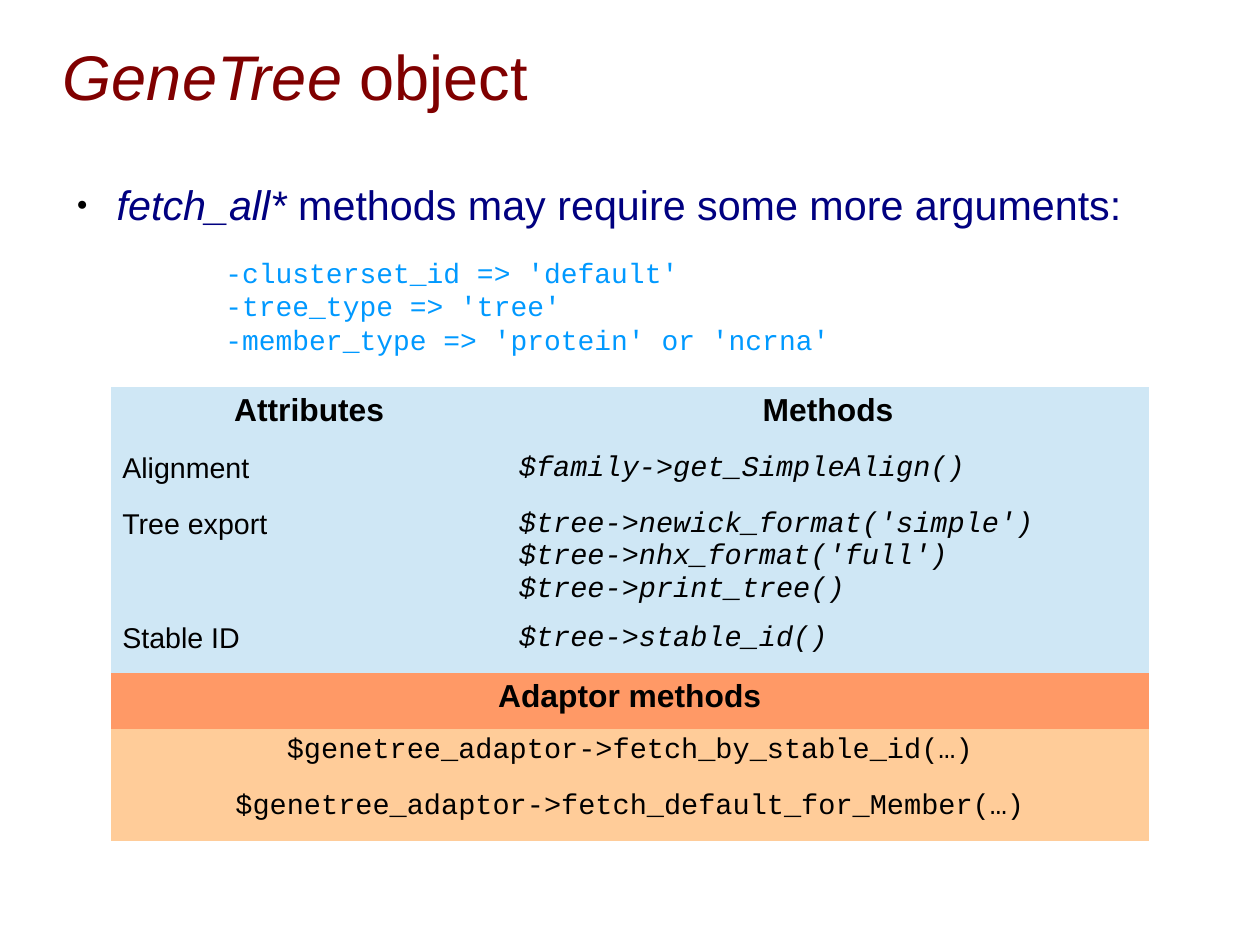
import pptx
import pptx.util
import pptx.dml.color
import pptx.enum.text
import pptx.oxml.ns
from lxml import etree

# Content: a text piece is (words, format name)
TITLE = [("GeneTree", "title_name"), (" object", "title")]
LEAD = [("fetch_all*", "lead_name"), (" methods may require some more arguments:", "lead")]
ARGUMENTS = [
    "-clusterset_id => 'default'",
    "-tree_type => 'tree'",
    "-member_type => 'protein' or 'ncrna'",
]
ATTRIBUTES = [
    ("Alignment", ["$family->get_SimpleAlign()"]),
    ("Tree export", ["$tree->newick_format('simple')", "$tree->nhx_format('full')",
                     "$tree->print_tree()"]),
    ("Stable ID", ["$tree->stable_id()"]),
]
ADAPTOR_METHODS = [
    "$genetree_adaptor->fetch_by_stable_id(…)",
    "$genetree_adaptor->fetch_default_for_Member(…)",
]

# Theme: type formats and fills
SANS, MONO = "Arial", "Courier New"
THEME = {
    "title": dict(name=SANS, size=39.7, color="800000"),
    "title_name": dict(name=SANS, size=39.7, color="800000", italic=True),
    "lead": dict(name=SANS, size=26, color="000080"),
    "lead_name": dict(name=SANS, size=26, color="000080", italic=True),
    "argument": dict(name=MONO, size=17.6, color="0099FF"),
    "heading": dict(name=SANS, size=20, color="000000", bold=True),
    "label": dict(name=SANS, size=18, color="000000"),
    "method": dict(name=MONO, size=18, color="000000", italic=True),
    "adaptor": dict(name=MONO, size=18, color="000000"),
    "object_fill": "CFE7F5",
    "adaptor_head_fill": "FF9966",
    "adaptor_fill": "FFCC99",
    "bullet": "000000",
}
NO_STYLE_NO_GRID = "{2D5ABB26-0587-4C30-8999-92F81FD0307C}"

# Page grid: a 28 by 21 cm page, parts in inches
PAGE_WIDTH, PAGE_HEIGHT = pptx.util.Cm(28), pptx.util.Cm(21)
WIDTH, HEIGHT = PAGE_WIDTH.inches, PAGE_HEIGHT.inches
LEFT = 0.05 * WIDTH
TITLE_TOP, BODY_TOP, TABLE_TOP = 0.04 * HEIGHT, 0.19 * HEIGHT, 0.41 * HEIGHT
TABLE_LEFT, LABEL_WIDTH, METHOD_WIDTH = 0.97, 3.47, 5.61
HEAD_ROW, ROW, LINE, PADDING = 0.52, 0.49, 0.28, 0.12

inches = pptx.util.Inches
CENTER = pptx.enum.text.PP_ALIGN.CENTER


def rgb(value):
    return pptx.dml.color.RGBColor.from_string(value)


def add_text(paragraph, words, style):
    run = paragraph.add_run()
    run.text = words
    for key, value in THEME[style].items():
        if key == "color":
            run.font.color.rgb = rgb(value)
        else:
            setattr(run.font, key, pptx.util.Pt(value) if key == "size" else value)


def add_box(slide, top, width, height):
    frame = slide.shapes.add_textbox(*map(inches, (LEFT, top, width, height))).text_frame
    settings = dict(word_wrap=True, margin_left=0, margin_right=0, margin_top=0, margin_bottom=0)
    for key, value in settings.items():
        setattr(frame, key, value)
    return frame


def set_paragraph(paragraph, indent=0, hanging=0, after=0):
    paragraph.space_after = pptx.util.Pt(after)
    properties = paragraph._p.get_or_add_pPr()
    properties.set("marL", str(inches(indent)))
    properties.set("indent", str(inches(-hanging)))
    return properties


def add_bullet(properties):
    qn = pptx.oxml.ns.qn
    color = etree.SubElement(properties, qn("a:buClr"))
    etree.SubElement(color, qn("a:srgbClr"), val=THEME["bullet"])
    etree.SubElement(properties, qn("a:buSzPct"), val="45000")
    etree.SubElement(properties, qn("a:buFont"), typeface=SANS)
    etree.SubElement(properties, qn("a:buChar"), char="●")


def fill_cell(cell, lines, style, fill, align=None):
    cell.fill.solid()
    cell.fill.fore_color.rgb = rgb(THEME[fill])
    for i, line in enumerate(lines):
        paragraph = cell.text_frame.add_paragraph() if i else cell.text_frame.paragraphs[0]
        paragraph.alignment = align
        add_text(paragraph, line, style)


def add_title(slide):
    paragraph = add_box(slide, TITLE_TOP, 0.9 * WIDTH, 1.38).paragraphs[0]
    set_paragraph(paragraph)
    for words, style in TITLE:
        add_text(paragraph, words, style)


def add_body(slide):
    frame = add_box(slide, BODY_TOP, 10.08, 0.2 * HEIGHT)
    lead = frame.paragraphs[0]
    add_bullet(set_paragraph(lead, indent=0.47, hanging=0.35, after=16.7))
    for words, style in LEAD:
        add_text(lead, words, style)
    arguments = frame.add_paragraph()
    set_paragraph(arguments, indent=1.42, after=9.3)
    for i, line in enumerate(ARGUMENTS):
        if i:
            arguments.add_line_break()
        add_text(arguments, line, "argument")


def add_methods_table(slide):
    heights = [HEAD_ROW]
    heights += [max(ROW, LINE * len(methods) + PADDING) for _, methods in ATTRIBUTES]
    heights += [ROW] * (1 + len(ADAPTOR_METHODS))
    widths = [LABEL_WIDTH, METHOD_WIDTH]
    place = map(inches, (TABLE_LEFT, TABLE_TOP, sum(widths), sum(heights)))
    table = slide.shapes.add_table(len(heights), len(widths), *place).table
    table.first_row = table.horz_banding = False
    table._tbl.find(".//" + pptx.oxml.ns.qn("a:tableStyleId")).text = NO_STYLE_NO_GRID
    for column, width in zip(table.columns, widths):
        column.width = inches(width)
    for row, height in zip(table.rows, heights):
        row.height = inches(height)

    # Attributes of the object and the methods that return them
    for column, heading in enumerate(["Attributes", "Methods"]):
        fill_cell(table.cell(0, column), [heading], "heading", "object_fill", CENTER)
    for row, (label, methods) in enumerate(ATTRIBUTES, 1):
        fill_cell(table.cell(row, 0), [label], "label", "object_fill")
        fill_cell(table.cell(row, 1), methods, "method", "object_fill")

    # Adaptor rows span both columns
    adaptor_rows = [("Adaptor methods", "heading", "adaptor_head_fill")]
    adaptor_rows += [(method, "adaptor", "adaptor_fill") for method in ADAPTOR_METHODS]
    for row, (words, style, fill) in enumerate(adaptor_rows, 1 + len(ATTRIBUTES)):
        table.cell(row, 0).merge(table.cell(row, 1))
        fill_cell(table.cell(row, 0), [words], style, fill, CENTER)


def main():
    deck = pptx.Presentation()
    deck.slide_width, deck.slide_height = PAGE_WIDTH, PAGE_HEIGHT
    slide = deck.slides.add_slide(deck.slide_layouts[6])
    add_title(slide)
    add_body(slide)
    add_methods_table(slide)
    deck.save("out.pptx")


if __name__ == "__main__":
    main()
